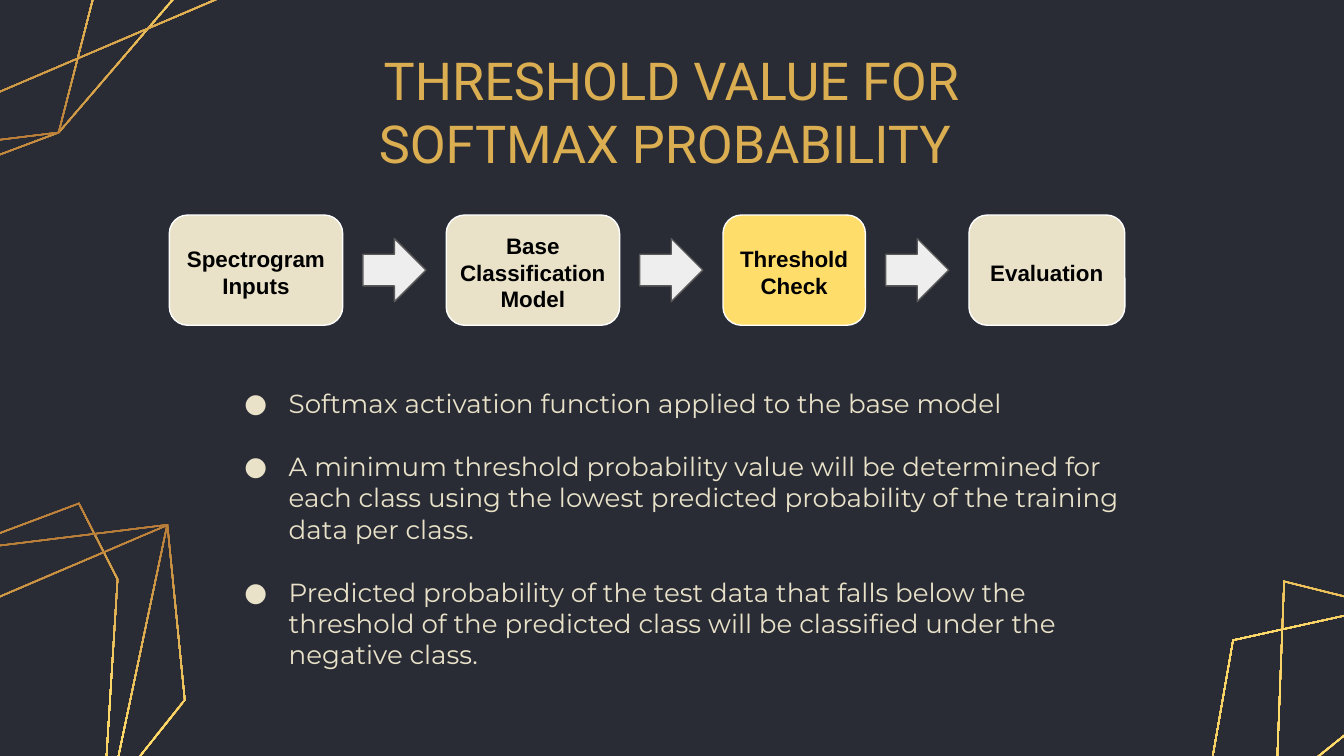
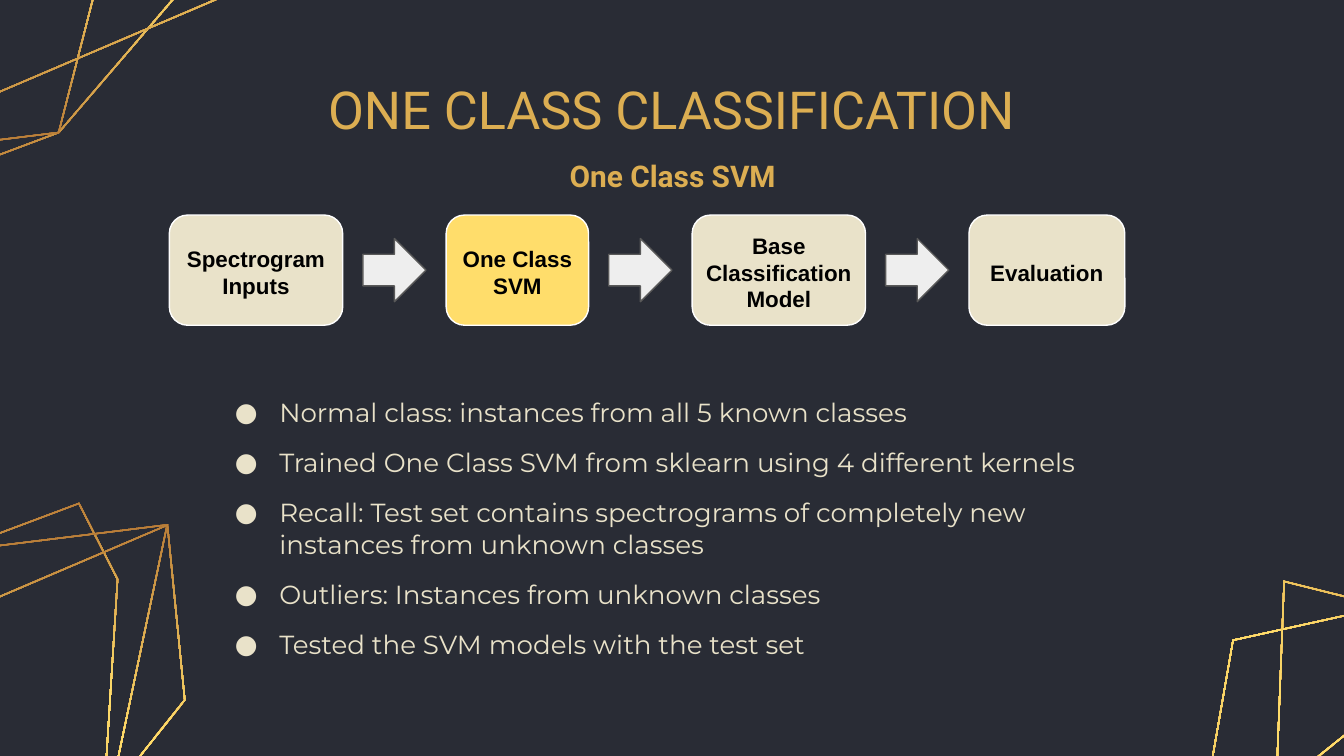
"""Build two slides on open-set classification: a process row above a bullet list."""
from copy import deepcopy
from math import cos, radians, sin

from lxml.etree import SubElement
from pptx import Presentation
from pptx.dml.color import RGBColor
from pptx.enum.shapes import MSO_SHAPE
from pptx.enum.text import MSO_ANCHOR, PP_ALIGN
from pptx.oxml.ns import qn
from pptx.util import Inches, Pt

COLORS = {
    "background": "292C35", "gold": "DCAE52", "bronze": "AF7132", "yellow": "FFDD6B",
    "cream": "E9E2C9", "white": "FFFFFF", "black": "000000",
    "arrow": "EEEEEE", "arrow_line": "595959",
}

SPECTROGRAM = ("Spectrogram Inputs", 1.29, "cream")
BASE_MODEL = ("Base Classification Model", 1.29, "cream")
EVALUATION = ("Evaluation", 1.16, "cream")

SLIDES = [
    {
        "title": "THRESHOLD VALUE FOR SOFTMAX PROBABILITY ",
        "title_top": 0.59,
        "steps": [SPECTROGRAM, BASE_MODEL, ("Threshold Check", 1.06, "yellow"), EVALUATION],
        "bullets": [
            "Softmax activation function applied to the base model",
            "A minimum threshold probability value will be determined for each class using "
            "the lowest predicted probability of the training data per class.",
            "Predicted probability of the test data that falls below the threshold of the "
            "predicted class will be classified under the negative class.",
        ],
        "body": (1.55, 2.78, 6.9, 2.31),
        "body_format": {"anchor": MSO_ANCHOR.TOP, "space_before": 17},
    },
    {
        "title": "ONE CLASS CLASSIFICATION",
        "title_top": 0.57,
        "subtitle": "One Class SVM",
        "steps": [SPECTROGRAM, ("One Class SVM", 1.06, "yellow"), BASE_MODEL, EVALUATION],
        "bullets": [
            "Normal class: instances from all 5 known classes",
            "Trained One Class SVM from sklearn using 4 different kernels",
            "Recall: Test set contains spectrograms of completely new instances from "
            "unknown classes",
            "Outliers: Instances from unknown classes",
            "Tested the SVM models with the test set",
        ],
        "body": (1.48, 2.48, 7.04, 2.9),
        "body_format": {"space_before": 10, "space_after_last": 10},
    },
]

LEFT_RINGS = [
    [(-1.04, 6.76), (-1.64, 5.58), (-0.37, 4.1), (0.59, 3.74), (0.88, 4.31), (0.76, 6.23)],
    [(-0.18, 7.17), (-1.05, 6.75), (-0.37, 4.1), (1.25, 3.9), (0.76, 6.23)],
    [(-0.18, 7.17), (-1.61, 5.12), (1.25, 3.9), (1.38, 5.21)],
]
TOP_RINGS = [[(0.07 - x, 5.09 - y) for x, y in ring] for ring in LEFT_RINGS]
RIGHT_RINGS = [
    [(8.89, 6.36), (9.17, 4.76), (11.53, 4.24), (12.75, 4.6), (12.6, 5.38), (11.06, 7.18)],
    [(9.44, 7.42), (8.89, 6.36), (11.53, 4.24), (13.28, 5.25), (11.06, 7.18)],
    [(9.43, 7.42), (9.55, 4.32), (13.28, 5.25), (12.44, 6.64)],
]
RING_GROUPS = [(LEFT_RINGS, 354.4), (TOP_RINGS, 174.4), (RIGHT_RINGS, 31.4)]
RING_WIDTH = 0.01

STEP_LEFT, STEP_TOP, STEP_HEIGHT, STEP_GAP = 1.26, 1.6, 0.82, 0.77
ARROW_SIZE, ARROW_OFFSET = 0.47, 0.15


def color(name):
    return RGBColor.from_string(COLORS[name])


def write_text(shape, lines, *, size, font, ink, bold=False, align=PP_ALIGN.CENTER,
               anchor=MSO_ANCHOR.MIDDLE, inset=0.1, drop=0, bullets=False,
               space_before=0, space_after_last=0):
    frame = shape.text_frame
    frame.word_wrap = True
    frame.vertical_anchor = anchor
    frame.margin_left = frame.margin_right = frame.margin_bottom = Inches(inset)
    frame.margin_top = Inches(inset + drop)
    for index, line in enumerate(lines):
        paragraph = frame.add_paragraph() if index else frame.paragraphs[0]
        paragraph.alignment = align
        paragraph.space_before = Pt(space_before if index else 0)
        paragraph.space_after = Pt(space_after_last if index == len(lines) - 1 else 0)
        run = paragraph.add_run()
        run.text = line
        run.font.size, run.font.name, run.font.bold = Pt(size), font, bold
        run.font.color.rgb = color(ink)
        if bullets:
            properties = paragraph._p.get_or_add_pPr()
            properties.set("marL", str(Inches(0.5)))
            properties.set("indent", str(Inches(-0.33)))
            bullet_color = SubElement(properties, qn("a:buClr"))
            SubElement(bullet_color, qn("a:srgbClr"), val=COLORS[ink])
            SubElement(properties, qn("a:buFont"), typeface=font)
            SubElement(properties, qn("a:buChar"), char="●")


def add_text(slide, box, lines, **text_format):
    shape = slide.shapes.add_textbox(*map(Inches, box))
    write_text(shape, lines, **text_format)


def add_preset(slide, preset, box, fill, line):
    shape = slide.shapes.add_shape(preset, *map(Inches, box))
    shape.shadow.inherit = False
    shape.fill.solid()
    shape.fill.fore_color.rgb = color(fill)
    shape.line.color.rgb = color(line)
    shape.line.width = Pt(0.75)
    return shape


def inset_ring(points, distance):
    """Return the outline moved inwards by a distance."""
    pairs = list(zip(points, points[1:] + points[:1]))
    area = sum((a.conjugate() * b).imag for a, b in pairs)
    turn = 1j if area > 0 else -1j
    normals = [turn * (b - a) / abs(b - a) for a, b in pairs]
    inner = []
    for index, point in enumerate(points):
        before, after = normals[index - 1], normals[index]
        inner.append(point + distance * (before + after)
                     / (1 + (before.conjugate() * after).real))
    return inner


def add_ring(slide, corners, rotation):
    turn = complex(cos(radians(rotation)), sin(radians(rotation)))
    outer = [complex(x, y) / turn for x, y in corners]
    inner = inset_ring(outer, RING_WIDTH)[::-1]
    outlines = [[(Inches(p.real), Inches(p.imag)) for p in ring] for ring in (outer, inner)]
    builder = slide.shapes.build_freeform(*outlines[0][0])
    builder.add_line_segments(outlines[0][1:])
    builder.move_to(*outlines[1][0])
    builder.add_line_segments(outlines[1][1:])
    shape = builder.convert_to_shape()
    center = turn * complex(shape.left + shape.width / 2, shape.top + shape.height / 2)
    shape.left = round(center.real - shape.width / 2)
    shape.top = round(center.imag - shape.height / 2)
    shape.rotation = rotation
    shape.shadow.inherit = False
    shape.line.fill.background()
    shape.fill.gradient()
    shape.fill.gradient_angle = 270
    stops = shape.element.find(".//" + qn("a:gsLst"))
    stops.append(deepcopy(stops[-1]))
    for stop, name, position in zip(shape.fill.gradient_stops,
                                    ("bronze", "yellow", "gold"), (0, 0.5, 1)):
        stop.color.rgb = color(name)
        stop.position = position
    return shape


def decorate_layout(layout, slide):
    """Draw the golden rings and hand them to the shared layout."""
    layout.background.fill.solid()
    layout.background.fill.fore_color.rgb = color("background")
    for rings, rotation in RING_GROUPS:
        for ring in rings:
            layout.shapes.element.append(add_ring(slide, ring, rotation).element)


def add_steps(slide, steps):
    left = STEP_LEFT
    arrow_top = STEP_TOP + (STEP_HEIGHT - ARROW_SIZE) / 2
    for index, (label, width, fill) in enumerate(steps):
        step = add_preset(slide, MSO_SHAPE.ROUNDED_RECTANGLE,
                          (left, STEP_TOP, width, STEP_HEIGHT), fill, "white")
        write_text(step, [label], size=12, font="Arial", ink="black", bold=True,
                   inset=0.03, drop=0.03)
        left += width
        if index < len(steps) - 1:
            add_preset(slide, MSO_SHAPE.RIGHT_ARROW,
                       (left + ARROW_OFFSET, arrow_top, ARROW_SIZE, ARROW_SIZE),
                       "arrow", "arrow_line")
        left += STEP_GAP


def fill_slide(slide, content):
    add_text(slide, (2.18, content["title_top"], 5.63, 0.47), [content["title"]],
             size=28, font="Roboto", ink="gold")
    add_text(slide, content["body"], content["bullets"], size=14, font="Montserrat",
             ink="cream", align=PP_ALIGN.LEFT, bullets=True, **content["body_format"])
    if "subtitle" in content:
        add_text(slide, (3.91, 1.12, 2.19, 0.38), [content["subtitle"]],
                 size=16, font="Roboto", ink="gold", bold=True)
    add_steps(slide, content["steps"])


def main():
    presentation = Presentation()
    presentation.slide_width = Inches(10)
    presentation.slide_height = Inches(10) * 9 // 16
    layout = presentation.slide_layouts[6]
    slides = [presentation.slides.add_slide(layout) for _ in SLIDES]
    decorate_layout(layout, slides[0])
    for slide, content in zip(slides, SLIDES):
        fill_slide(slide, content)
    presentation.save("out.pptx")


if __name__ == "__main__":
    main()
